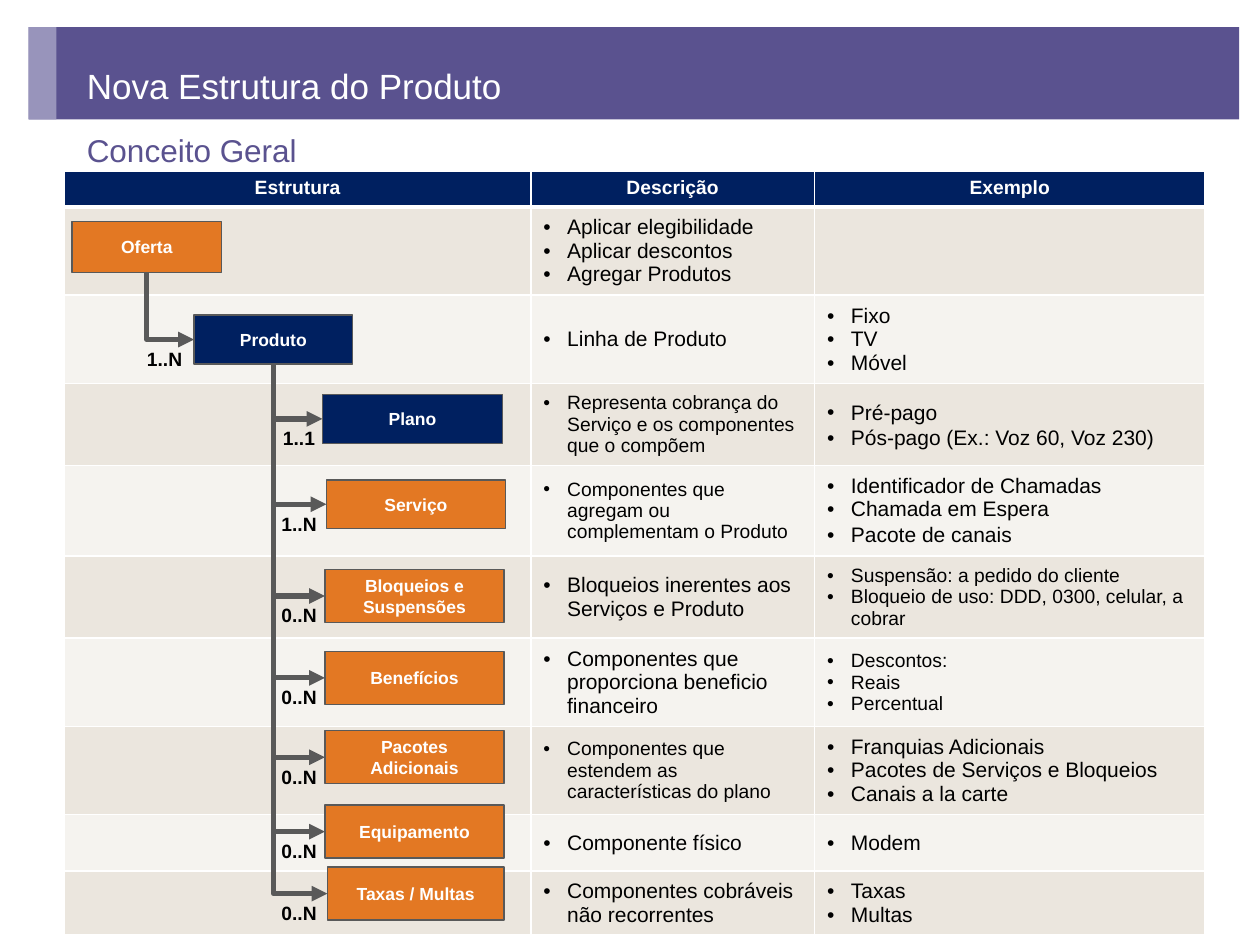
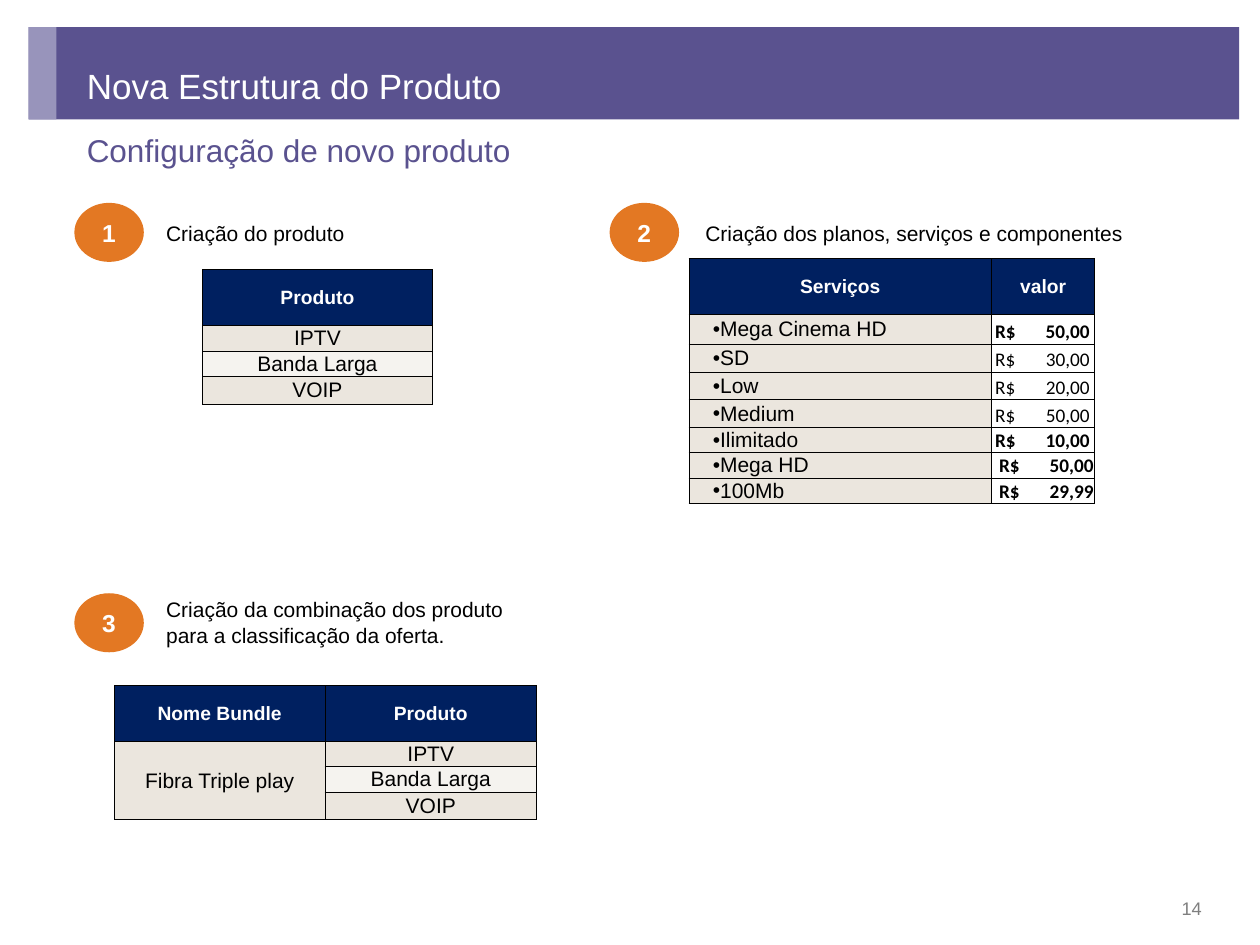
from dataclasses import dataclass
from typing import NamedTuple, Optional

from lxml.etree import SubElement
from pptx import Presentation
from pptx.dml.color import RGBColor
from pptx.enum.dml import MSO_THEME_COLOR
from pptx.enum.shapes import MSO_CONNECTOR, MSO_SHAPE
from pptx.enum.text import MSO_ANCHOR, PP_ALIGN
from pptx.oxml.ns import qn
from pptx.util import Cm, Pt

PURPLE, LILAC = "5A528F", "9894BB"
NAVY, ORANGE = "002060", "E37823"
SAND, LIGHT_SAND = "EBE6DE", "F5F3EF"
GRAPHITE, GRAY, BLACK, WHITE = "595959", "7F7F7F", "000000", "FFFFFF"
CENTER, MIDDLE = PP_ALIGN.CENTER, MSO_ANCHOR.MIDDLE


class Area(NamedTuple):
    left: float
    top: float
    width: float
    height: float

    def lengths(self) -> list:
        return [Cm(value) for value in self]


@dataclass
class Node:
    name: str
    area: Area
    fill: str = ORANGE
    parent: Optional[str] = None
    cardinality: str = "0..N"


@dataclass
class Bullets:
    lines: list
    size: float = 12
    loose: int = 0  # closing lines set with wider spacing


@dataclass
class Price:
    service: str
    amount: str
    bold: bool = True
    inset: float = 0.07


@dataclass
class Step:
    number: str
    left: float
    top: float
    caption: str
    caption_area: Area


NODES = [
    Node("Oferta", Area(1.45, 4.47, 3.02, 1.02)),
    Node("Produto", Area(3.91, 6.35, 3.2, 0.99), NAVY, "Oferta", "1..N"),
    Node("Plano", Area(6.5, 7.95, 3.63, 0.99), NAVY, "Produto", "1..1"),
    Node("Serviço", Area(6.58, 9.68, 3.61, 0.97), ORANGE, "Produto", "1..N"),
    Node("Bloqueios e Suspensões", Area(6.55, 11.48, 3.61, 1.07), parent="Produto"),
    Node("Benefícios", Area(6.55, 13.13, 3.61, 1.07), parent="Produto"),
    Node("Pacotes Adicionais", Area(6.55, 14.73, 3.61, 1.07), parent="Produto"),
    Node("Equipamento", Area(6.55, 16.23, 3.61, 1.07), parent="Produto"),
    Node("Taxas / Multas", Area(6.6, 17.48, 3.56, 1.07), parent="Produto"),
]
LABEL_LEFT = {"Oferta": 2.57, "Produto": 5.28}

CONCEPTS = [
    (Bullets(["Aplicar elegibilidade", "Aplicar descontos", "Agregar Produtos"]), None),
    (Bullets(["Linha de Produto"]), Bullets(["Fixo", "TV", "Móvel"])),
    (Bullets(["Representa cobrança do Serviço e os componentes que o compõem"], 11),
     Bullets(["Pré-pago", "Pós-pago (Ex.: Voz 60, Voz 230)"], loose=2)),
    (Bullets(["Componentes que agregam ou complementam o Produto"], 11),
     Bullets(["Identificador de Chamadas", "Chamada em Espera", "Pacote de canais"], loose=1)),
    (Bullets(["Bloqueios inerentes aos Serviços e Produto"]),
     Bullets(["Suspensão: a pedido do cliente",
              "Bloqueio de uso: DDD, 0300, celular, a cobrar"], 11)),
    (Bullets(["Componentes que proporciona beneficio financeiro"]),
     Bullets(["Descontos:", "Reais", "Percentual"], 11)),
    (Bullets(["Componentes que estendem as características do plano"], 11),
     Bullets(["Franquias Adicionais", "Pacotes de Serviços e Bloqueios", "Canais a la carte"])),
    (Bullets(["Componente físico"]), Bullets(["Modem"])),
    (Bullets(["Componentes cobráveis não recorrentes"]), Bullets(["Taxas", "Multas"])),
]
CONCEPT_ROWS = [0.72, 1.77, 1.77, 1.65, 1.83, 1.65, 1.77, 1.78, 1.14, 1.29]

PRODUCTS = ["IPTV", "Banda Larga", "VOIP"]
PRODUCT_ROWS = [1.13, 0.48, 0.48, 0.56]
PRICES = [
    Price("Mega Cinema HD", "50,00"),
    Price("SD", "30,00", False),
    Price("Low", "20,00", False),
    Price("Medium", "50,00", False),
    Price("Ilimitado", "10,00"),
    Price("Mega HD", "50,00", inset=0.15),
    Price("100Mb", "29,99", inset=0.15),
]
PRICE_ROWS = [1.13, 0.6, 0.56, 0.56, 0.56, 0.48, 0.48, 0.48]
STEPS = [
    Step("1", 1.5, 4.09, "Criação do produto", Area(3.1, 4.32, 6.6, 0.76)),
    Step("2", 12.29, 4.09, "Criação dos planos, serviços e componentes",
         Area(13.97, 4.32, 8.94, 0.76)),
    Step("3", 1.5, 11.96, "Criação da combinação dos produto para a classificação da oferta.",
         Area(3.1, 11.91, 7.8, 1.27)),
]


def color(value: str) -> RGBColor:
    return RGBColor.from_string(value)


def write(frame, *lines: str, size=12, ink=BLACK, bold=False, font="Arial",
          align=None, anchor=None, spacing=None, loose=0, bullet_indent=None,
          right_tab=None, small_caps=False) -> None:
    """Put one paragraph per line; bullet_indent and right_tab are in centimetres."""
    frame.word_wrap = True
    if anchor is not None:
        frame.vertical_anchor = anchor
    for index, line in enumerate(lines):
        para = frame.paragraphs[0] if index == 0 else frame.add_paragraph()
        para.alignment = align
        para.line_spacing = 1.1 if index >= len(lines) - loose else spacing
        properties = para._p.get_or_add_pPr()
        if bullet_indent is not None:
            properties.set("marL", str(Cm(bullet_indent)))
            properties.set("indent", str(-Cm(bullet_indent)))
            SubElement(properties, qn("a:buFont"), typeface="Arial")
            SubElement(properties, qn("a:buChar"), char="•")
        if right_tab is not None:
            tabs = SubElement(properties, qn("a:tabLst"))
            SubElement(tabs, qn("a:tab"), pos=str(Cm(right_tab)), algn="r")
        span = para.add_run()
        span.text = line
        span.font.name, span.font.size, span.font.bold = font, Pt(size), bold
        span.font.color.rgb = color(ink)
        if small_caps:
            span._r.get_or_add_rPr().set("cap", "small")


def add_box(page, area: Area, fill: str, outline: Optional[str] = None,
            kind=MSO_SHAPE.RECTANGLE):
    box = page.shapes.add_shape(kind, *area.lengths())
    box.shadow.inherit = False
    box.fill.solid()
    box.fill.fore_color.rgb = color(fill)
    if outline:
        box.line.color.rgb = color(outline)
        box.line.width = Pt(0.75)
    else:
        box.line.fill.background()
    return box


def add_text(page, area: Area, text: str, **formats) -> None:
    write(page.shapes.add_textbox(*area.lengths()).text_frame, text, **formats)


def add_page(deck, subtitle: str):
    page = deck.slides.add_slide(deck.slide_layouts[6])
    add_box(page, Area(0.58, 0.55, 24.4, 1.86), PURPLE)
    add_box(page, Area(0.58, 0.55, 0.56, 1.86), LILAC)
    add_text(page, Area(1.5, 0.84, 20.95, 1.78), "Nova Estrutura do Produto",
             size=20, ink=WHITE, anchor=MIDDLE)
    add_text(page, Area(1.5, 2.59, 20.93, 0.97), subtitle,
             size=18, ink=PURPLE, spacing=0.93)
    return page


def add_grid(page, left: float, top: float, columns: list, rows: list, headers: list,
             line=BLACK, line_width=0.5, header_rule=0.5, margin: Optional[float] = None,
             header_anchor=MIDDLE):
    """Add a table with headers, row bands and borders, leaving the body empty."""
    area = Area(left, top, sum(columns), sum(rows))
    table = page.shapes.add_table(len(rows), len(columns), *area.lengths()).table
    table.horz_banding = False
    for column, width in zip(table.columns, columns):
        column.width = Cm(width)
    for index, (row, height) in enumerate(zip(table.rows, rows)):
        row.height = Cm(height)
        for cell in row.cells:
            widths = {"L": line_width, "R": line_width,
                      "T": header_rule if index == 1 else line_width,
                      "B": header_rule if index == 0 else line_width}
            for side, width in widths.items():
                border = SubElement(cell._tc.get_or_add_tcPr(), qn(f"a:ln{side}"),
                                    w=str(Pt(width)))
                SubElement(SubElement(border, qn("a:solidFill")), qn("a:srgbClr"), val=line)
            cell.fill.solid()
            band = SAND if index % 2 else LIGHT_SAND
            cell.fill.fore_color.rgb = color(band if index else NAVY)
            cell.vertical_anchor = MIDDLE if index else header_anchor
            if margin is not None:
                cell.margin_left = cell.margin_right = Cm(margin)
                cell.margin_top = cell.margin_bottom = Cm(margin)
    for cell, header in zip(table.rows[0].cells, headers):
        write(cell.text_frame, header, size=11, ink=WHITE, bold=True, align=CENTER)
    return table


def add_branch(page, parent, child) -> None:
    """Draw an L-shaped arrow from the bottom of parent to the left side of child."""
    start_x, start_y = parent.left + parent.width // 2, parent.top + parent.height
    run = child.left - start_x
    drop = child.top + child.height // 2 - start_y
    left, top = start_x + (run - drop) // 2, start_y + (drop - run) // 2
    branch = page.shapes.add_connector(MSO_CONNECTOR.ELBOW, left, top, left + drop, top + run)
    branch.line.color.rgb = color(GRAPHITE)
    branch.line.width = Pt(3)
    SubElement(branch.line._get_or_add_ln(), qn("a:tailEnd"), type="triangle")
    properties = branch._element.spPr
    SubElement(properties, qn("a:effectLst"))
    properties.find(qn("a:prstGeom")).set("prst", "bentConnector2")
    frame = properties.find(qn("a:xfrm"))
    frame.set("rot", "16200000")
    frame.set("flipH", "1")


def build_concept(deck) -> None:
    page = add_page(deck, "Conceito Geral")
    table = add_grid(page, 1.3, 3.45, [9.4, 5.72, 7.87], CONCEPT_ROWS,
                     ["Estrutura", "Descrição", "Exemplo"], line=WHITE, line_width=1,
                     header_rule=3, header_anchor=MSO_ANCHOR.TOP)
    for row, concept in enumerate(CONCEPTS, 1):
        for column, bullets in enumerate(concept, 1):
            if bullets:
                write(table.cell(row, column).text_frame, *bullets.lines,
                      size=bullets.size, loose=bullets.loose, bullet_indent=0.48)
    boxes = {}
    for node in NODES:
        box = boxes[node.name] = add_box(page, node.area, node.fill, GRAPHITE)
        write(box.text_frame, node.name, size=10, ink=WHITE, bold=True,
              align=CENTER, anchor=MIDDLE)
        if node.parent:
            add_branch(page, boxes[node.parent], box)
            label_top = node.area.top + node.area.height / 2 + 0.03
            add_text(page, Area(LABEL_LEFT[node.parent], label_top, 1.5, 0.74),
                     node.cardinality, size=11, bold=True, align=CENTER)


def fill_products(table, column: int) -> None:
    for row, product in enumerate(PRODUCTS, 1):
        write(table.cell(row, column).text_frame, product, align=CENTER)


def build_setup(deck) -> None:
    page = add_page(deck, "Configuração de novo produto")
    add_text(page, Area(22.02, 17.65, 2.46, 1.02), "14", size=13, ink=GRAY,
             align=PP_ALIGN.RIGHT, anchor=MSO_ANCHOR.BOTTOM, spacing=Pt(12), small_caps=True)

    bundles = add_grid(page, 2.31, 13.82, [4.24, 4.27], PRODUCT_ROWS,
                       ["Nome Bundle", "Produto"], margin=0)
    bundles.cell(1, 0).merge(bundles.cell(3, 0))
    write(bundles.cell(1, 0).text_frame, "Fibra Triple play", align=CENTER)
    fill_products(bundles, 1)

    services = add_grid(page, 13.89, 5.21, [6.1, 2.08], PRICE_ROWS,
                        ["Serviços", "valor"], margin=0)
    for row, price in enumerate(PRICES, 1):
        name, value = services.rows[row].cells
        name.fill.fore_color.rgb = color(SAND)
        name.margin_left = Cm(0.48)
        write(name.text_frame, price.service, bullet_indent=0)
        value.fill.background()
        value.margin_left = Cm(price.inset)
        value.vertical_anchor = MSO_ANCHOR.BOTTOM
        write(value.text_frame, f"R$\t{price.amount}", size=11, font="Calibri",
              bold=price.bold, right_tab=1.91)

    products = add_grid(page, 4.09, 5.44, [4.62], PRODUCT_ROWS, ["Produto"], margin=0)
    fill_products(products, 0)

    for step in STEPS:
        badge = add_box(page, Area(step.left, step.top, 1.4, 1.19), ORANGE,
                        kind=MSO_SHAPE.OVAL)
        write(badge.text_frame, step.number, size=14, ink=WHITE, bold=True,
              align=CENTER, anchor=MIDDLE)
        add_text(page, step.caption_area, step.caption)


def main() -> None:
    deck = Presentation()
    deck.slide_width, deck.slide_height = Cm(25.4), Cm(19.05)
    build_concept(deck)
    build_setup(deck)
    deck.save("out.pptx")


if __name__ == "__main__":
    main()
